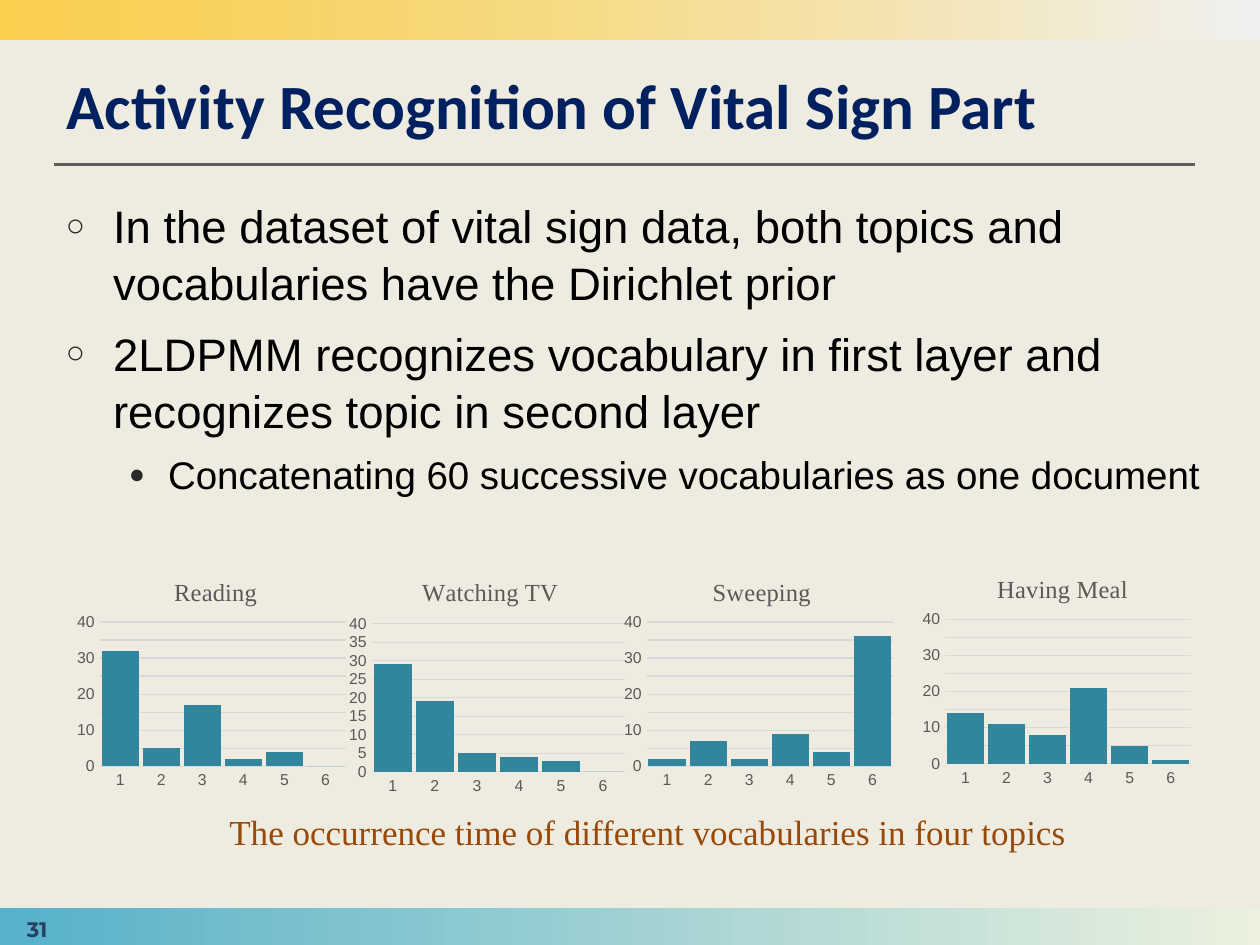
from lxml.etree import SubElement
from pptx import Presentation
from pptx.chart.data import CategoryChartData
from pptx.dml.color import RGBColor
from pptx.enum.chart import XL_CHART_TYPE as ChartType, XL_TICK_MARK as TickMark
from pptx.enum.shapes import MSO_CONNECTOR as Connector, MSO_SHAPE as Shape
from pptx.enum.text import MSO_ANCHOR as Anchor, PP_ALIGN as Align
from pptx.oxml import parse_xml
from pptx.oxml.ns import nsdecls, qn
from pptx.util import Pt

COLORS = {
    "background": "EEECE1", "gold": "FFC30D", "silver": "F2F2F2",
    "teal": "56B1C9", "pale": "EBF1DE", "rule": "5F5F5F",
    "title": "002060", "text": "000000", "bullet": "292929",
    "number": "254061", "caption": "984807",
    "label": "595959", "grid": "D9D9D9", "bar": "31859C",
}

# text, level
BULLETS = [
    ("In the dataset of vital sign data, both topics and vocabularies "
     "have the Dirichlet prior", 0),
    ("2LDPMM recognizes vocabulary in first layer and recognizes topic "
     "in second layer", 0),
    ("Concatenating 60 successive vocabularies as one document", 1),
]
# per level: symbol, left indent, hanging indent, size, space before
LEVELS = [("○", 27, 27, 26, 7.5), ("●", 58.5, 22.5, 22, 6.5)]

# title, left, top, width, height, title offset (share of width), values
CHARTS = [
    ("Reading", 41, 317, 160, 137.5, 0.35, (32, 5, 17, 2, 4, 0)),
    ("Watching TV", 196, 317, 164, 141, 0.26, (29, 19, 5, 4, 3, 0)),
    ("Sweeping", 353.5, 317, 160, 137.5, 0.32, (2, 7, 2, 9, 4, 36)),
    ("Having Meal", 524, 315.5, 160, 137.5, 0.27, (14, 11, 8, 21, 5, 1)),
]


def color(name):
    return RGBColor.from_string(COLORS[name])


def style_font(font, name, size, hue, bold=False):
    font.name, font.size, font.bold = name, Pt(size), bold
    font.color.rgb = color(hue)


def add_band(page, top, start, end, alpha=None):
    band = page.shapes.add_shape(Shape.RECTANGLE, 0, Pt(top), Pt(720), Pt(22.5))
    band.shadow.inherit = False
    band.line.fill.background()
    band.fill.gradient()
    band.fill.gradient_angle = 0
    for stop, hue in zip(band.fill.gradient_stops, (start, end)):
        stop.color.rgb = color(hue)
    if alpha:
        first = band.element.spPr.find(".//" + qn("a:srgbClr"))
        SubElement(first, qn("a:alpha"), val=str(alpha * 1000))


def add_rule(page, left, right, y):
    rule = page.shapes.add_connector(
        Connector.STRAIGHT, Pt(left), Pt(y), Pt(right), Pt(y))
    rule.line.color.rgb = color("rule")
    rule.line.width = Pt(2.25)
    SubElement(rule.element.spPr, qn("a:effectLst"))


def add_box(page, left, top, width, height, anchor=Anchor.TOP, wrap=True):
    box = page.shapes.add_textbox(Pt(left), Pt(top), Pt(width), Pt(height))
    box.text_frame.word_wrap = wrap
    box.text_frame.vertical_anchor = anchor
    return box.text_frame


def add_run(para, text, *style):
    span = para.add_run()
    span.text = text
    style_font(span.font, *style)


def add_bullets(frame):
    for index, (text, level) in enumerate(BULLETS):
        symbol, left, hanging, size, space = LEVELS[level]
        para = frame.paragraphs[0] if index == 0 else frame.add_paragraph()
        para.level = level
        para.line_spacing = 1.05
        para.space_before = Pt(space if index else 0)
        props = para._p.get_or_add_pPr()
        props.set("marL", str(Pt(left)))
        props.set("indent", str(-Pt(hanging)))
        hue = SubElement(props, qn("a:buClr"))
        SubElement(hue, qn("a:srgbClr"), val=COLORS["bullet"])
        SubElement(props, qn("a:buSzPct"), val="70000")
        SubElement(props, qn("a:buFont"), typeface="Arial")
        SubElement(props, qn("a:buChar"), char=symbol)
        add_run(para, text, "Arial", size, "text")


def chart_layout(inner=False, **shares):
    target = '<c:layoutTarget val="inner"/>' if inner else ""
    modes = "".join(f'<c:{key}Mode val="edge"/>' for key in "xy")
    values = "".join(f'<c:{key} val="{val}"/>' for key, val in shares.items())
    return parse_xml(f'<c:layout {nsdecls("c")}><c:manualLayout>{target}{modes}'
                     f'{values}</c:manualLayout></c:layout>')


def place(parent, layout, after=None):
    for old in parent.findall(qn("c:layout")):
        parent.remove(old)
    if after is None:
        parent.insert(0, layout)
    else:
        after.addnext(layout)


def add_bar_chart(page, title, left, top, width, height, offset, values):
    data = CategoryChartData()
    data.categories = [str(number) for number in range(1, 7)]
    data.add_series("Series 1", values)
    chart = page.shapes.add_chart(ChartType.COLUMN_CLUSTERED, Pt(left), Pt(top),
                                  Pt(width), Pt(height), data).chart
    style_font(chart.font, "Arial", 10, "text")
    chart.has_legend = False

    # Title
    chart.has_title = True
    frame = chart.chart_title.text_frame
    add_run(frame.paragraphs[0], title, "Times New Roman", 14, "label")
    heading = chart.chart_title._element
    place(heading, chart_layout(x=offset, y=0.07), heading.find(qn("c:tx")))

    # Bars
    plot = chart.plots[0]
    plot.gap_width = 10
    plot.vary_by_categories = False
    bars = plot.series[0].format.fill
    bars.solid()
    bars.fore_color.rgb = color("bar")
    place(chart._chartSpace.chart.plotArea,
          chart_layout(inner=True, x=0.1, y=0.28, w=0.88, h=0.6))

    # Axes
    for axis in (chart.category_axis, chart.value_axis):
        axis.major_tick_mark = axis.minor_tick_mark = TickMark.NONE
        style_font(axis.tick_labels.font, "Arial", 9, "label")
    chart.value_axis.minimum_scale = 0
    chart.value_axis.maximum_scale = 40
    chart.value_axis.major_unit = 5
    chart.value_axis.format.line.fill.background()
    for part in (chart.category_axis, chart.value_axis.major_gridlines):
        part.format.line.color.rgb = color("grid")
        part.format.line.width = Pt(0.75)


def main():
    deck = Presentation()
    deck.slide_width, deck.slide_height = Pt(720), Pt(540)
    page = deck.slides.add_slide(deck.slide_layouts[6])
    page.background.fill.solid()
    page.background.fill.fore_color.rgb = color("background")

    # Frame of the slide
    add_band(page, 519, "teal", "pale")
    add_band(page, 0, "gold", "silver", alpha=69)
    add_rule(page, 31, 683, 94)

    # Title and body
    title = add_box(page, 31, 31.5, 646.5, 53.5, Anchor.BOTTOM)
    add_run(title.paragraphs[0], "Activity Recognition of Vital Sign Part",
            "Calibri", 36, "title", True)
    add_bullets(add_box(page, 30.5, 108, 682, 385))

    # Slide number
    number = add_box(page, 0, 514, 42.5, 34, Anchor.MIDDLE).paragraphs[0]
    number.alignment = Align.CENTER
    add_run(number, "31", "Montserrat", 12, "number", True)

    # Charts and their caption
    for chart in CHARTS:
        add_bar_chart(page, *chart)
    caption = add_box(page, 124, 459.5, 494, 31.5, wrap=False)
    add_run(caption.paragraphs[0],
            "The occurrence time of different vocabularies in four topics",
            "Times New Roman", 20, "caption")

    deck.save("out.pptx")


if __name__ == "__main__":
    main()
